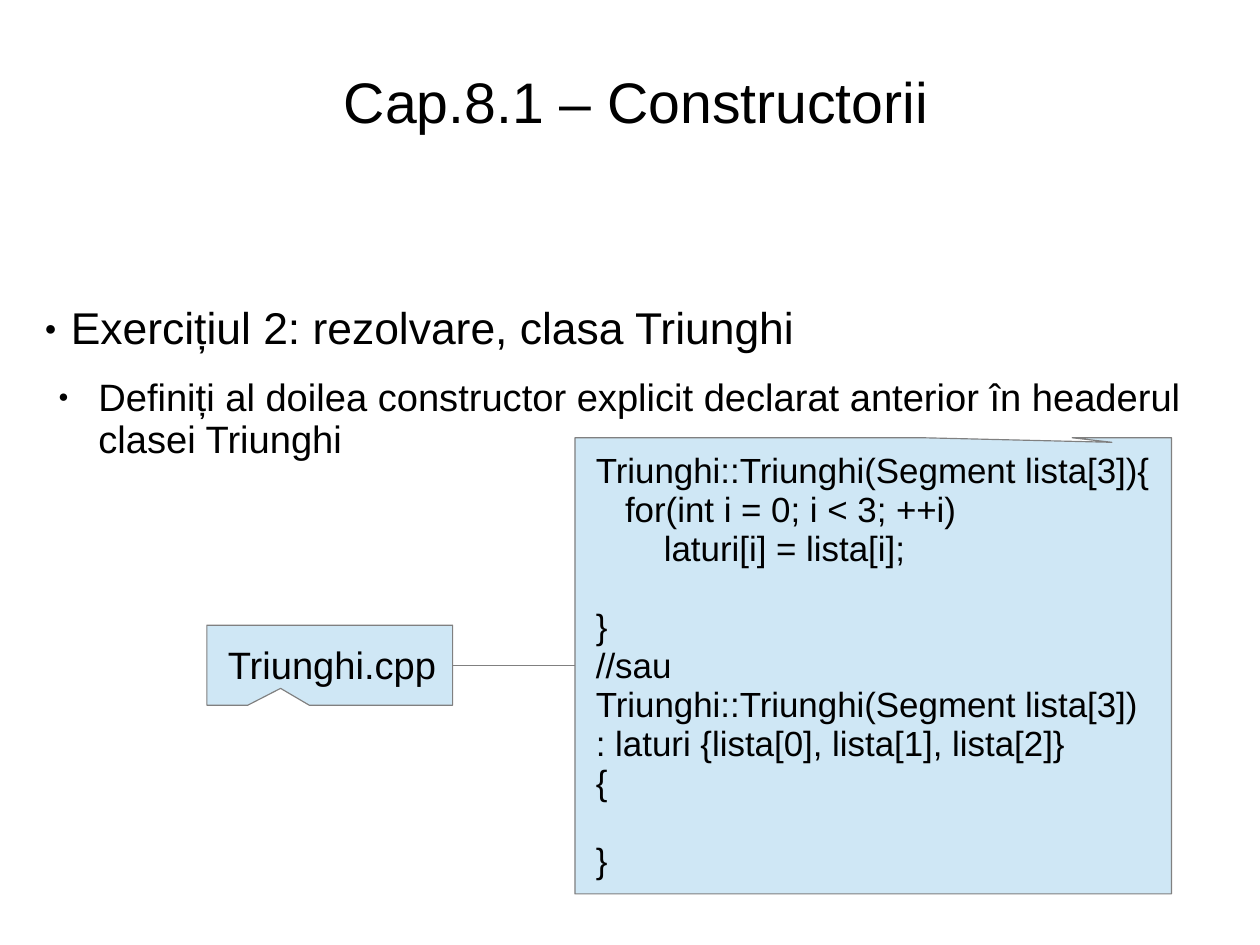
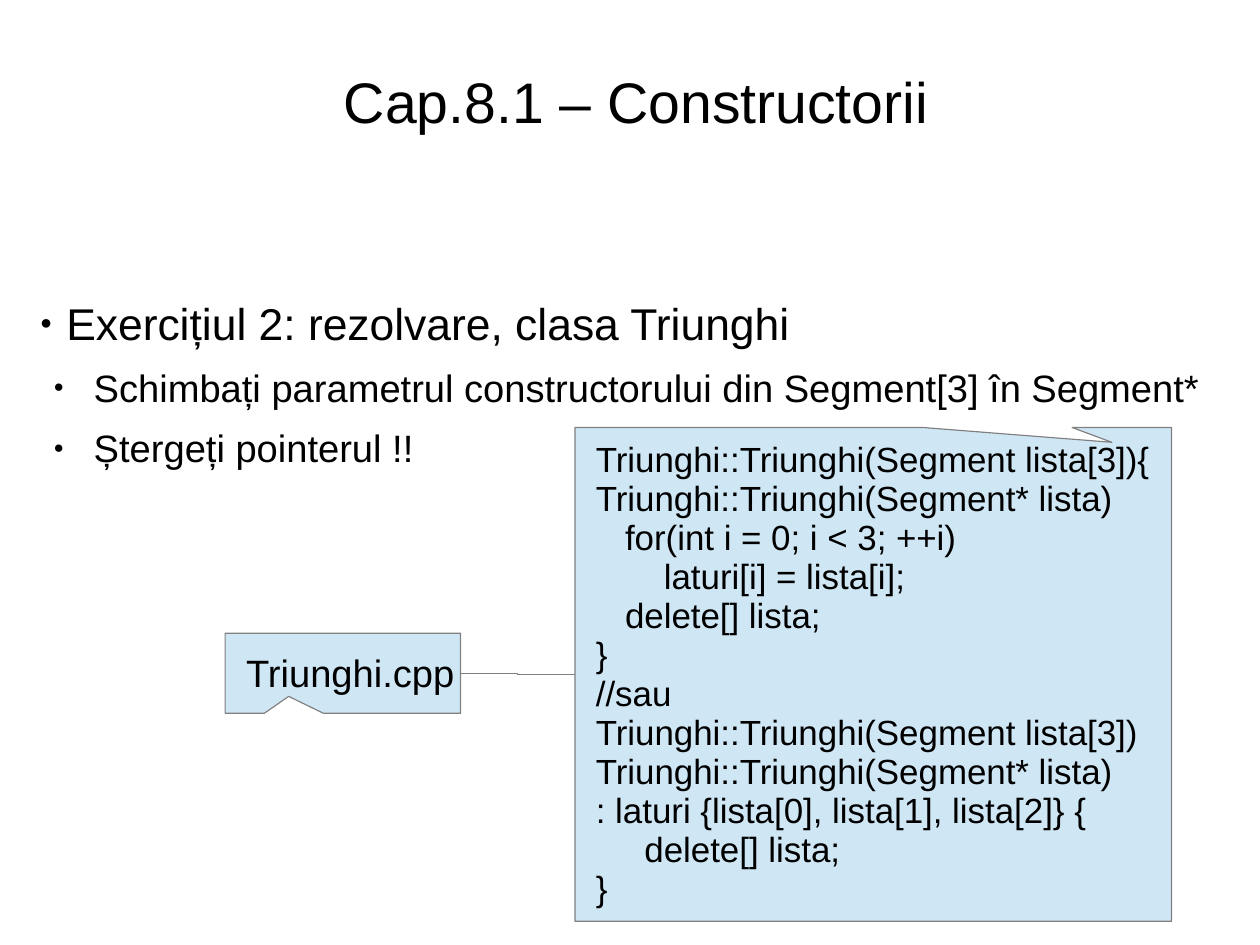
from typing import NamedTuple

from lxml import etree
from pptx import Presentation
from pptx.dml.color import RGBColor
from pptx.enum import shapes, text
from pptx.oxml import ns
from pptx.util import Inches, Pt

COLORS = {"text": "000000", "fill": "CFE7F5", "line": "808080"}
FONT = "Arial"
CM_PER_INCH = 2.54
SLIDE_WIDTH, SLIDE_HEIGHT = 28 / CM_PER_INCH, 21 / CM_PER_INCH
TITLE = "Cap.8.1 – Constructorii"
TITLE_SIZE, HEADING_SIZE, ITEM_SIZE, CODE_SIZE = 36, 28, 24, 22
LINE_SPACING = 0.93
SPACE_WIDTH = 0.085
BLANK_LINE = 24.5
RIGHT_SITE, LEFT_SITE = 3, 1


class Box(NamedTuple):
    left: float
    top: float
    width: float
    height: float


class CodeLine(NamedTuple):
    spaces: int
    text: str
    blanks_before: int = 0


class Callout(NamedTuple):
    box: Box
    tip: tuple[float, float]
    lines: list[CodeLine]
    size: int


class Lesson(NamedTuple):
    body: Box
    spacing: float
    bullets: list[str]
    code: Callout
    label: Callout


TITLE_BOX = Box(0.36, 0.28, 10.41, 1.24)
FILE_LABEL = [CodeLine(1, "Triunghi.cpp")]
HEADING = "Exercițiul 2: rezolvare, clasa Triunghi"

LESSONS = [
    Lesson(
        Box(0.39, 2.64, 10.06, 1.46),
        0.93,
        [
            HEADING,
            "Definiți al doilea constructor explicit declarat anterior "
            "în headerul clasei Triunghi",
        ],
        Callout(
            Box(5.03, 3.83, 5.22, 3.99),
            (0.4, -0.49),
            [
                CodeLine(1, "Triunghi::Triunghi(Segment lista[3]){"),
                CodeLine(4, "for(int i = 0; i < 3; ++i)"),
                CodeLine(8, "laturi[i] = lista[i];"),
                CodeLine(1, "}", 1),
                CodeLine(1, "//sau"),
                CodeLine(1, "Triunghi::Triunghi(Segment lista[3])"),
                CodeLine(1, ": laturi {lista[0], lista[1], lista[2]}"),
                CodeLine(1, "{"),
                CodeLine(1, "}", 1),
            ],
            CODE_SIZE,
        ),
        Callout(Box(1.81, 5.47, 2.15, 0.7), (-0.2, 0.29), FILE_LABEL, ITEM_SIZE),
    ),
    Lesson(
        Box(0.35, 2.64, 10.45, 1.57),
        0.83,
        [
            HEADING,
            "Schimbați parametrul constructorului din Segment[3] în Segment*",
            "Ștergeți pointerul !!",
        ],
        Callout(
            Box(5.03, 3.74, 5.22, 4.32),
            (0.4, -0.47),
            [
                CodeLine(1, "Triunghi::Triunghi(Segment lista[3]){"),
                CodeLine(1, "Triunghi::Triunghi(Segment* lista)"),
                CodeLine(4, "for(int i = 0; i < 3; ++i)"),
                CodeLine(8, "laturi[i] = lista[i];"),
                CodeLine(4, "delete[] lista;"),
                CodeLine(1, "}"),
                CodeLine(1, "//sau"),
                CodeLine(1, "Triunghi::Triunghi(Segment lista[3])"),
                CodeLine(1, "Triunghi::Triunghi(Segment* lista)"),
                CodeLine(1, ": laturi {lista[0], lista[1], lista[2]} {"),
                CodeLine(6, "delete[] lista;"),
                CodeLine(1, "}"),
            ],
            CODE_SIZE,
        ),
        Callout(Box(1.97, 5.54, 2.06, 0.7), (-0.23, 0.29), FILE_LABEL, ITEM_SIZE),
    ),
]


def rgb(name: str) -> RGBColor:
    return RGBColor.from_string(COLORS[name])


def place(sp, box: Box) -> None:
    sp.left, sp.top, sp.width, sp.height = (Inches(v) for v in box)


def set_frame(tf, anchor, left: float, top: float, bottom: float) -> None:
    tf.word_wrap = True
    tf.auto_size = text.MSO_AUTO_SIZE.NONE
    tf.vertical_anchor = anchor
    tf.margin_left, tf.margin_right = Inches(left), 0
    tf.margin_top, tf.margin_bottom = Inches(top), Inches(bottom)


def format_paragraph(p, size: int, align=text.PP_ALIGN.LEFT,
                     spacing: float = LINE_SPACING,
                     before: float = 0, after: float = 0) -> None:
    p.alignment = align
    p.line_spacing = spacing
    p.space_before, p.space_after = Pt(before), Pt(after)
    for r in p.runs:
        r.font.name = FONT
        r.font.size = Pt(size)
        r.font.color.rgb = rgb("text")


def set_indent(p, margin: float, first: float = 0) -> None:
    pPr = p._p.get_or_add_pPr()
    pPr.set("marL", str(Inches(margin)))
    pPr.set("indent", str(Inches(first)))


def add_bullet(p) -> None:
    pPr = p._p.get_or_add_pPr()
    color = etree.SubElement(pPr, ns.qn("a:buClr"))
    etree.SubElement(color, ns.qn("a:srgbClr"), val=COLORS["text"])
    etree.SubElement(pPr, ns.qn("a:buSzPct"), val="45000")
    etree.SubElement(pPr, ns.qn("a:buFont"), typeface=FONT)
    etree.SubElement(pPr, ns.qn("a:buChar"), char="●")


def fill_title(sp) -> None:
    place(sp, TITLE_BOX)
    tf = sp.text_frame
    tf.text = TITLE
    set_frame(tf, text.MSO_ANCHOR.MIDDLE, 0, 0.03, 0)
    format_paragraph(tf.paragraphs[0], TITLE_SIZE, text.PP_ALIGN.CENTER)


def fill_body(sp, lesson: Lesson) -> None:
    place(sp, lesson.body)
    tf = sp.text_frame
    tf.text = "\n".join(lesson.bullets)
    set_frame(tf, text.MSO_ANCHOR.TOP, 0, 0.03, 0)
    for i, p in enumerate(tf.paragraphs):
        p.level = min(i, 1)
        size = ITEM_SIZE if p.level else HEADING_SIZE
        format_paragraph(p, size, spacing=lesson.spacing, after=14.1)
        set_indent(p, *((0.47, -0.35) if p.level else (0.23, -0.23)))
        add_bullet(p)


def add_callout(s, callout: Callout):
    sp = s.shapes.add_shape(shapes.MSO_SHAPE.RECTANGULAR_CALLOUT,
                            *(Inches(v) for v in callout.box))
    sp.shadow.inherit = False
    sp.adjustments[0], sp.adjustments[1] = callout.tip
    sp.fill.solid()
    sp.fill.fore_color.rgb = rgb("fill")
    sp.line.color.rgb = rgb("line")
    sp.line.width = Pt(0.75)
    tf = sp.text_frame
    tf.text = "\n".join(line.text for line in callout.lines)
    set_frame(tf, text.MSO_ANCHOR.MIDDLE, 0.1, 0.07, 0.05)
    for p, line in zip(tf.paragraphs, callout.lines):
        format_paragraph(p, callout.size,
                         before=line.blanks_before * BLANK_LINE)
        set_indent(p, line.spaces * SPACE_WIDTH)
    return sp


def link(s, label, code) -> None:
    c = s.shapes.add_connector(shapes.MSO_CONNECTOR.ELBOW, 0, 0, 0, 0)
    c.begin_connect(label, RIGHT_SITE)
    c.end_connect(code, LEFT_SITE)
    c.line.color.rgb = rgb("line")
    c.line.width = Pt(0.75)
    etree.SubElement(c._element.spPr, ns.qn("a:effectLst"))


def add_lesson(prs, lesson: Lesson) -> None:
    s = prs.slides.add_slide(prs.slide_layouts[1])
    fill_title(s.shapes.title)
    fill_body(s.placeholders[1], lesson)
    code = add_callout(s, lesson.code)
    label = add_callout(s, lesson.label)
    link(s, label, code)


def main() -> None:
    prs = Presentation()
    prs.slide_width, prs.slide_height = Inches(SLIDE_WIDTH), Inches(SLIDE_HEIGHT)
    for lesson in LESSONS:
        add_lesson(prs, lesson)
    prs.save("out.pptx")


if __name__ == "__main__":
    main()
